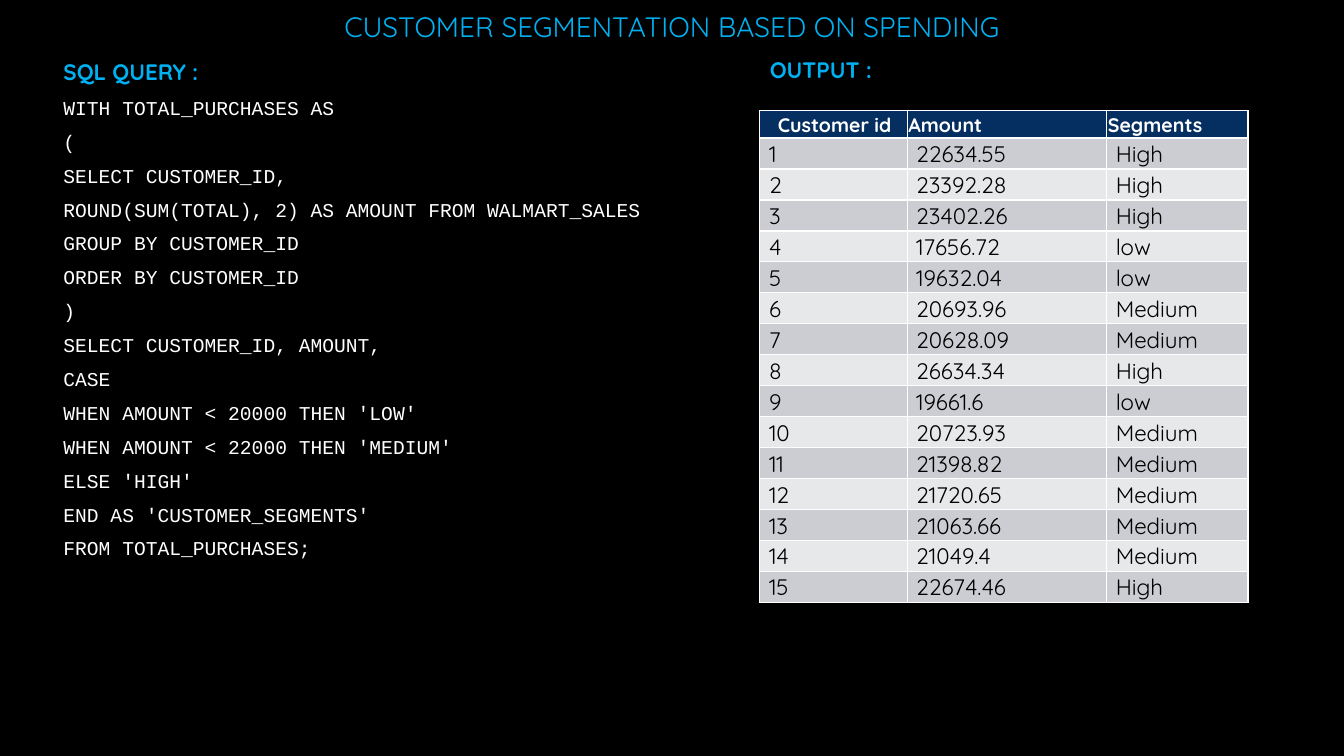
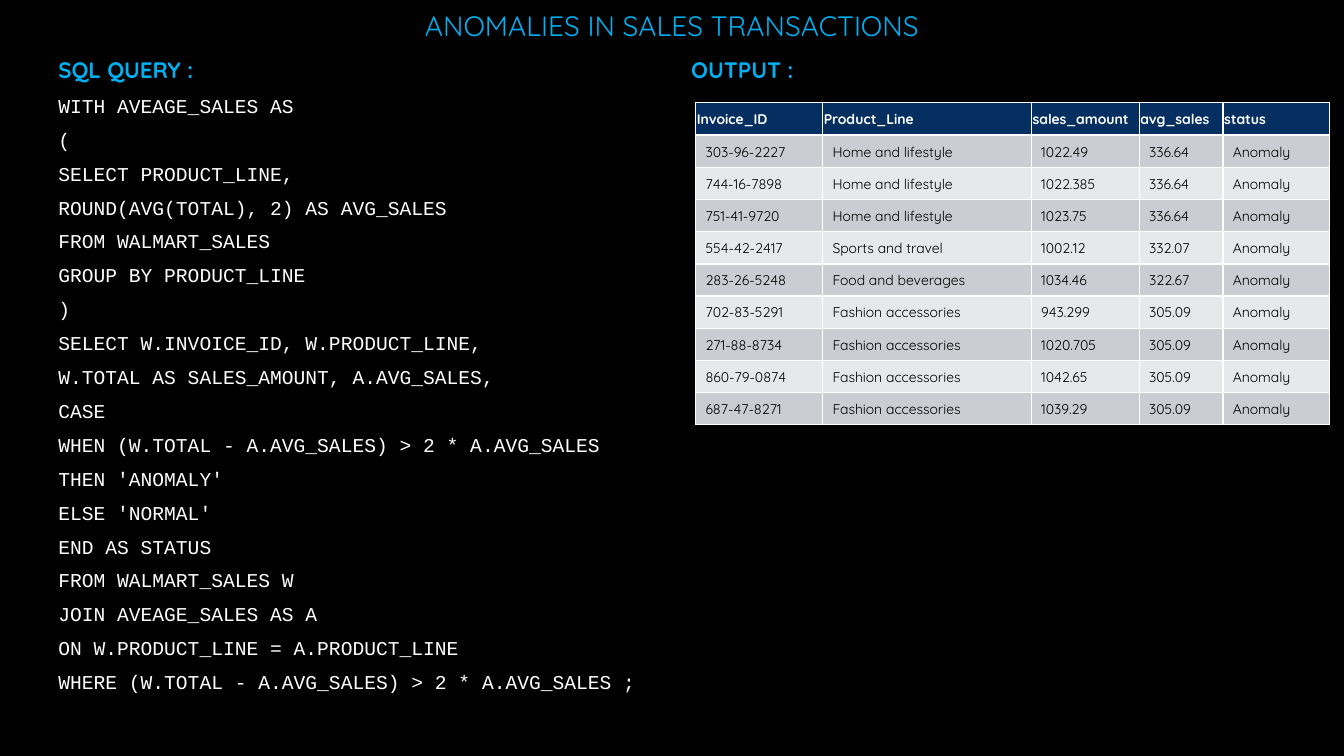
from lxml import etree
from pptx import Presentation, util as u
from pptx.dml.color import RGBColor
from pptx.enum import text
from pptx.oxml import ns

COLORS = {"background": "000000", "accent": "00B0F0", "code": "FFFFFF",
          "header": "052F61", "header_text": "FFFFFF", "border": "FFFFFF",
          "odd": "CCCDD2", "even": "E7E8EA", "cell_text": "000000"}
BODY_FONT, CODE_FONT = "Quicksand", "Courier New"
SLIDE_WIDTH, SLIDE_HEIGHT = 33.87, 19.05
CELL_INSET = 0.03

# Lengths are in centimetres, text sizes in points.
SLIDES = [
    {
        "title": "CUSTOMER SEGMENTATION BASED ON SPENDING",
        "title_height": 1.42,
        "query_box": (1.35, 1.42, 16.38),
        "output_box": (19.15, 1.37, 14.72),
        "query": [
            "WITH TOTAL_PURCHASES AS",
            "(",
            "SELECT CUSTOMER_ID,",
            "ROUND(SUM(TOTAL), 2) AS AMOUNT FROM WALMART_SALES",
            "GROUP BY CUSTOMER_ID",
            "ORDER BY CUSTOMER_ID",
            ")",
            "SELECT CUSTOMER_ID, AMOUNT,",
            "CASE",
            "WHEN AMOUNT < 20000 THEN 'LOW'",
            "WHEN AMOUNT < 22000 THEN 'MEDIUM'",
            "ELSE 'HIGH'",
            "END AS 'CUSTOMER_SEGMENTS'",
            "FROM TOTAL_PURCHASES;",
        ],
        "table": {
            "at": (19.15, 2.79),
            "widths": (3.71, 5.03, 3.56),
            "heights": {"header": 0.69, "body": 0.78},
            "sizes": {"header": 14, "body": 16},
            "body_inset": 0.23,
            "header_insets": (0.45, CELL_INSET, CELL_INSET),
            "header": ("Customer id", "Amount", "Segments"),
            "rows": [
                ("1", "22634.55", "High"),
                ("2", "23392.28", "High"),
                ("3", "23402.26", "High"),
                ("4", "17656.72", "low"),
                ("5", "19632.04", "low"),
                ("6", "20693.96", "Medium"),
                ("7", "20628.09", "Medium"),
                ("8", "26634.34", "High"),
                ("9", "19661.6", "low"),
                ("10", "20723.93", "Medium"),
                ("11", "21398.82", "Medium"),
                ("12", "21720.65", "Medium"),
                ("13", "21063.66", "Medium"),
                ("14", "21049.4", "Medium"),
                ("15", "22674.46", "High"),
            ],
        },
    },
    {
        "title": "ANOMALIES IN SALES TRANSACTIONS",
        "title_height": 1.37,
        "query_box": (1.22, 1.37, 15.47),
        "output_box": (17.17, 1.37, 16.7),
        "query": [
            "WITH AVEAGE_SALES AS",
            "(",
            "SELECT PRODUCT_LINE,",
            "ROUND(AVG(TOTAL), 2) AS AVG_SALES",
            "FROM WALMART_SALES",
            "GROUP BY PRODUCT_LINE",
            ")",
            "SELECT W.INVOICE_ID, W.PRODUCT_LINE,",
            "W.TOTAL AS SALES_AMOUNT, A.AVG_SALES,",
            "CASE",
            "WHEN (W.TOTAL - A.AVG_SALES) > 2 * A.AVG_SALES",
            "THEN 'ANOMALY'",
            "ELSE 'NORMAL'",
            "END AS STATUS",
            "FROM WALMART_SALES W",
            "JOIN AVEAGE_SALES AS A",
            "ON W.PRODUCT_LINE = A.PRODUCT_LINE",
            "WHERE (W.TOTAL - A.AVG_SALES) > 2 * A.AVG_SALES ;",
        ],
        "table": {
            "at": (17.53, 2.59),
            "widths": (3.2, 5.26, 2.72, 2.11, 2.69),
            "heights": {"header": 0.82, "body": 0.81},
            "sizes": {"header": 10, "body": 10},
            "body_inset": 0.25,
            "header_insets": (CELL_INSET,) * 5,
            "header": ("Invoice_ID", "Product_Line", "sales_amount", "avg_sales", "status"),
            "rows": [
                ("303-96-2227", "Home and lifestyle", "1022.49", "336.64", "Anomaly"),
                ("744-16-7898", "Home and lifestyle", "1022.385", "336.64", "Anomaly"),
                ("751-41-9720", "Home and lifestyle", "1023.75", "336.64", "Anomaly"),
                ("554-42-2417", "Sports and travel", "1002.12", "332.07", "Anomaly"),
                ("283-26-5248", "Food and beverages", "1034.46", "322.67", "Anomaly"),
                ("702-83-5291", "Fashion accessories", "943.299", "305.09", "Anomaly"),
                ("271-88-8734", "Fashion accessories", "1020.705", "305.09", "Anomaly"),
                ("860-79-0874", "Fashion accessories", "1042.65", "305.09", "Anomaly"),
                ("687-47-8271", "Fashion accessories", "1039.29", "305.09", "Anomaly"),
            ],
        },
    },
]


def rgb(name):
    return RGBColor.from_string(COLORS[name])


def add_span(para, words, size, color, font=BODY_FONT, bold=False):
    span = para.add_run()
    span.text = words
    span.font.name, span.font.size, span.font.bold = font, u.Pt(size), bold
    span.font.color.rgb = rgb(color)


def add_title(page, words, height):
    title = page.shapes.title
    title.left, title.top = u.Cm(0), u.Cm(0)
    title.width, title.height = u.Cm(SLIDE_WIDTH), u.Cm(height)
    frame = title.text_frame
    frame.auto_size = text.MSO_AUTO_SIZE.NONE
    frame.vertical_anchor = text.MSO_ANCHOR.MIDDLE
    para = frame.paragraphs[0]
    para.alignment = text.PP_ALIGN.CENTER
    para.line_spacing = 0.9
    add_span(para, words, 20, "accent")


def add_section(page, place, heading, code=()):
    """Add a text box with a heading and, below it, lines of code."""
    left, top, width = place
    box = page.shapes.add_textbox(u.Cm(left), u.Cm(top), u.Cm(width),
                                  u.Cm(SLIDE_HEIGHT - top))
    frame = box.text_frame
    frame.word_wrap = True
    para = frame.paragraphs[0]
    para.line_spacing = 0.9
    add_span(para, heading, 16, "accent", bold=True)
    for line in code:
        para = frame.add_paragraph()
        para.line_spacing, para.space_before = u.Pt(14.2), u.Pt(10)
        add_span(para, line, 14, "code", CODE_FONT)


def add_borders(cell, weights):
    """Draw the left, right, top and bottom borders, with weights in points."""
    properties = cell._tc.get_or_add_tcPr()
    for side, weight in zip("LRTB", weights):
        line = etree.SubElement(properties, ns.qn(f"a:ln{side}"), w=str(u.Pt(weight)))
        fill = etree.SubElement(line, ns.qn("a:solidFill"))
        etree.SubElement(fill, ns.qn("a:srgbClr"), val=COLORS["border"])


def add_output_table(page, data):
    rows = [data["header"], *data["rows"]]
    kinds = ["header"] + ["body"] * len(data["rows"])
    heights = [data["heights"][kind] for kind in kinds]
    left, top = data["at"]
    grid = page.shapes.add_table(
        len(rows), len(data["widths"]), u.Cm(left), u.Cm(top),
        u.Cm(sum(data["widths"])), u.Cm(sum(heights))).table
    for column, width in zip(grid.columns, data["widths"]):
        column.width = u.Cm(width)

    for r, (kind, values) in enumerate(zip(kinds, rows)):
        grid.rows[r].height = u.Cm(heights[r])
        is_header = kind == "header"
        fill = "header" if is_header else ("even", "odd")[r % 2]
        weights = (1, 1, 1.5 if r == 1 else 1, 1.5 if is_header else 1)
        for c, value in enumerate(values):
            cell = grid.cell(r, c)
            add_borders(cell, weights)
            cell.fill.solid()
            cell.fill.fore_color.rgb = rgb(fill)
            cell.vertical_anchor = text.MSO_ANCHOR.MIDDLE
            inset = data["header_insets"][c] if is_header else data["body_inset"]
            cell.margin_left = u.Cm(inset)
            cell.margin_right = cell.margin_top = u.Cm(CELL_INSET)
            cell.margin_bottom = u.Cm(0)
            add_span(cell.text_frame.paragraphs[0], value, data["sizes"][kind],
                     "header_text" if is_header else "cell_text", bold=is_header)


def main():
    deck = Presentation()
    deck.slide_width, deck.slide_height = u.Cm(SLIDE_WIDTH), u.Cm(SLIDE_HEIGHT)
    backdrop = deck.slide_master.background.fill
    backdrop.solid()
    backdrop.fore_color.rgb = rgb("background")
    title_only = deck.slide_layouts.get_by_name("Title Only")
    for content in SLIDES:
        page = deck.slides.add_slide(title_only)
        add_title(page, content["title"], content["title_height"])
        add_section(page, content["query_box"], "SQL QUERY :", content["query"])
        add_section(page, content["output_box"], "OUTPUT :")
        add_output_table(page, content["table"])
    deck.save("out.pptx")


if __name__ == "__main__":
    main()
